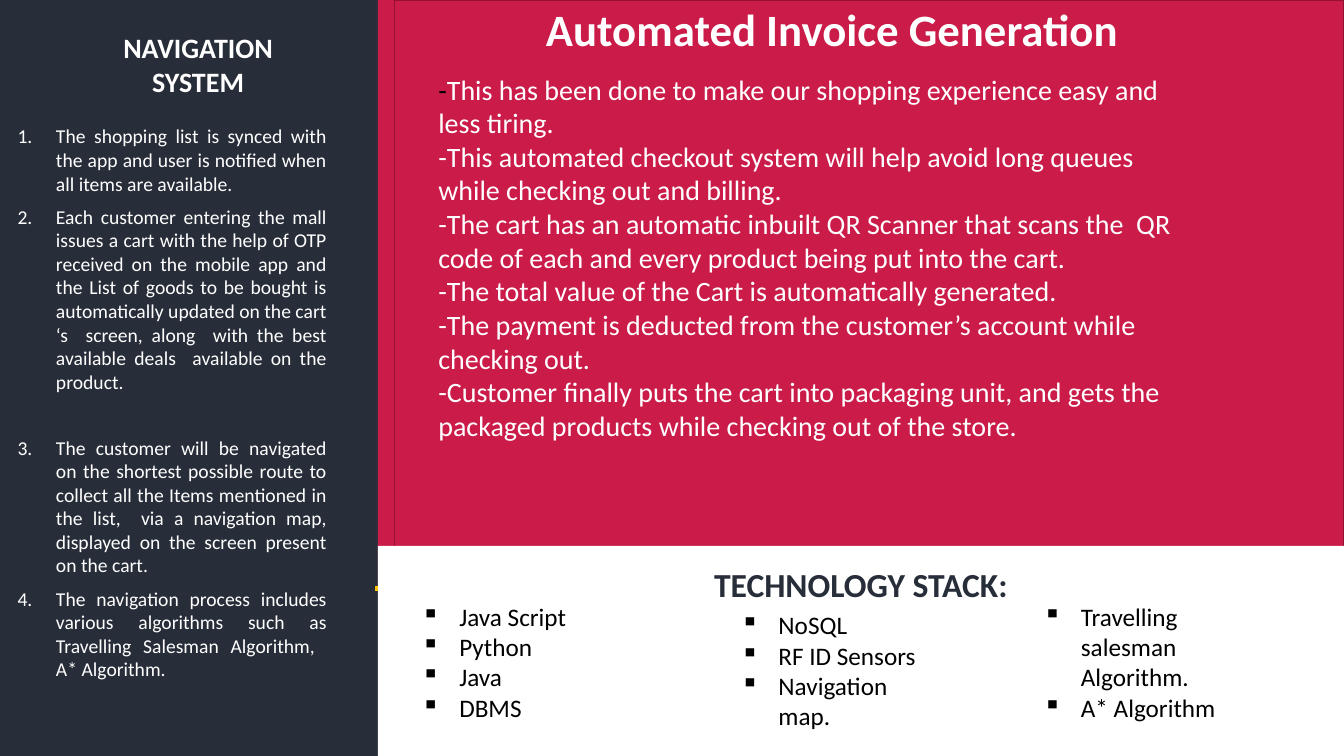
from lxml import etree
from pptx import Presentation, util as u
from pptx.dml.color import RGBColor
from pptx.enum import shapes, text
from pptx.oxml import ns

Pt = u.Pt
DARK = RGBColor(0x28, 0x2E, 0x39)
RED = RGBColor(0xCA, 0x1B, 0x49)
EDGE = RGBColor(0x94, 0x11, 0x34)
GOLD = RGBColor(0xFF, 0xC0, 0x00)
WHITE = RGBColor(0xFF, 0xFF, 0xFF)
BLACK = RGBColor(0, 0, 0)
LEFT, MID, JUST = text.PP_ALIGN.LEFT, text.PP_ALIGN.CENTER, text.PP_ALIGN.JUSTIFY
WIDE, HIGH = 960, 540


class Deck:
    """Holds the style and the current slide."""
    face = "Calibri"

    def __init__(self, prs):
        self.page = prs.slides.add_slide(prs.slide_layouts[1])
        self.items = self.page.shapes

    def back(self, color):
        fill = self.page.background.fill
        fill.solid()
        fill.fore_color.rgb = color

    def panel(self, x, y, w, h, fill=None, line=None):
        box = self.items.add_shape(shapes.MSO_SHAPE.RECTANGLE, Pt(x), Pt(y), Pt(w), Pt(h))
        box.shadow.inherit = False
        if fill is None:
            box.fill.background()
        else:
            box.fill.solid()
            box.fill.fore_color.rgb = fill
        if line is None:
            box.line.fill.background()
        else:
            box.line.color.rgb = line
            box.line.width = Pt(0.96)

    def rule(self, x, y, end, color, width):
        line = self.items.add_connector(
            shapes.MSO_CONNECTOR.STRAIGHT, Pt(x), Pt(y), Pt(end), Pt(y))
        line.line.color.rgb = color
        line.line.width = Pt(width)
        props = line.element.find(ns.qn("p:spPr"))
        etree.SubElement(props, ns.qn("a:effectLst"))

    def font(self, run, size, color, bold=False):
        font = run.font
        font.name, font.size, font.bold = self.face, Pt(size), bold
        font.color.rgb = color

    def fill(self, box, lines, size, color, bold=False, align=LEFT, gap=0,
             pad=(7.2, 3.6, 7.2, 3.6)):
        frame = box.text_frame
        frame.word_wrap = True
        frame.auto_size = text.MSO_AUTO_SIZE.NONE
        frame.vertical_anchor = text.MSO_ANCHOR.TOP
        frame.margin_left, frame.margin_top, frame.margin_right, frame.margin_bottom = map(Pt, pad)
        frame.text = "\n".join(lines)
        for para in frame.paragraphs:
            para.alignment = align
            para.space_before = Pt(gap)
            for run in para.runs:
                self.font(run, size, color, bold)
        return frame.paragraphs

    def label(self, x, y, w, h, lines, size, color, **style):
        box = self.items.add_textbox(Pt(x), Pt(y), Pt(w), Pt(h))
        return self.fill(box, lines, size, color, **style)

    def holder(self, box, x, y, w, h, lines, size, color, **style):
        box.left, box.top, box.width, box.height = Pt(x), Pt(y), Pt(w), Pt(h)
        box.element.getparent().append(box.element)  # bring to front
        return self.fill(box, lines, size, color, **style)

    def marks(self, paras, indent, tag, **attrs):
        for para in paras:
            props = para._p.get_or_add_pPr()
            props.set("marL", str(Pt(indent)))
            props.set("indent", str(-Pt(indent)))
            etree.SubElement(props, ns.qn(tag), attrs)


STEPS = [
    "The shopping list is synced with the app and user is notified when all items are available.",
    "Each customer entering the mall issues a cart with the help of OTP received on the mobile app "
    "and the List of goods to be bought is automatically updated on the cart ‘s  screen, along  "
    "with the best available deals  available on the product.",
    "The customer will be navigated on the shortest possible route to collect all the Items "
    "mentioned in the list,  via a navigation map, displayed on the screen present on the cart.",
    "The navigation process includes various algorithms such as Travelling Salesman Algorithm,  "
    "A* Algorithm.",
]
POINTS = [
    "-",
    "-This automated checkout system will help avoid long queues while checking out and billing.",
    "-The cart has an automatic inbuilt QR Scanner that scans the  QR code of each and every "
    "product being put into the cart.",
    "-The total value of the Cart is automatically generated.",
    "-The payment is deducted from the customer’s account while checking out.",
    "-Customer finally puts the cart into packaging unit, and gets the packaged products while "
    "checking out of the store.",
]
STACK = [
    (294, 426, ["Java Script", "Python", "Java", "DBMS"]),
    (522, 432, ["NoSQL", "RF ID Sensors", "Navigation map."]),
    (738, 426, ["Travelling salesman Algorithm.", "A* Algorithm"]),
]


def main():
    prs = Presentation()
    prs.slide_width, prs.slide_height = Pt(WIDE), Pt(HIGH)
    deck = Deck(prs)
    tight = (0, 1, 0, 0)

    # Panels
    deck.back(DARK)
    deck.panel(270, 0, WIDE - 270, 422, fill=RED)
    deck.panel(282, 0, WIDE - 282, 422, line=EDGE)
    deck.rule(268, 420.4, WIDE, GOLD, 3)
    deck.panel(270, 390, WIDE - 270, HIGH - 390, fill=WHITE)

    # Sidebar
    deck.label(62, 21, 159, 50, ["NAVIGATION SYSTEM"], 20, WHITE,
               bold=True, align=MID, pad=tight)
    steps = deck.holder(deck.page.placeholders[1], 12.5, 57.6, 221, 482, STEPS, 14, WHITE,
                        align=JUST, gap=7, pad=(0, 31.2, 0, 0))
    steps[2].space_before = Pt(30.5)
    deck.marks(steps, 27.5, "a:buAutoNum", type="arabicPeriod")

    # Invoice section
    deck.holder(deck.items.title, 390, 0, 438, 40, ["Automated Invoice Generation"], 32, WHITE,
                bold=True, pad=tight)
    points = deck.label(306, 48, 552, 274, POINTS, 20, WHITE)
    points[0].runs[0].font.color.rgb = BLACK
    rest = points[0].add_run()
    rest.text = "This has been done to make our shopping experience easy and less tiring."
    deck.font(rest, 20, WHITE)

    # Technology stack
    deck.label(510, 402, 212, 30, ["TECHNOLOGY STACK:"], 24, DARK, bold=True, pad=tight)
    for x, y, names in STACK:
        paras = deck.label(x, y, 144, 94, names, 18, BLACK)
        deck.marks(paras, 27, "a:buChar", char="▪")

    prs.save("out.pptx")


if __name__ == "__main__":
    main()
